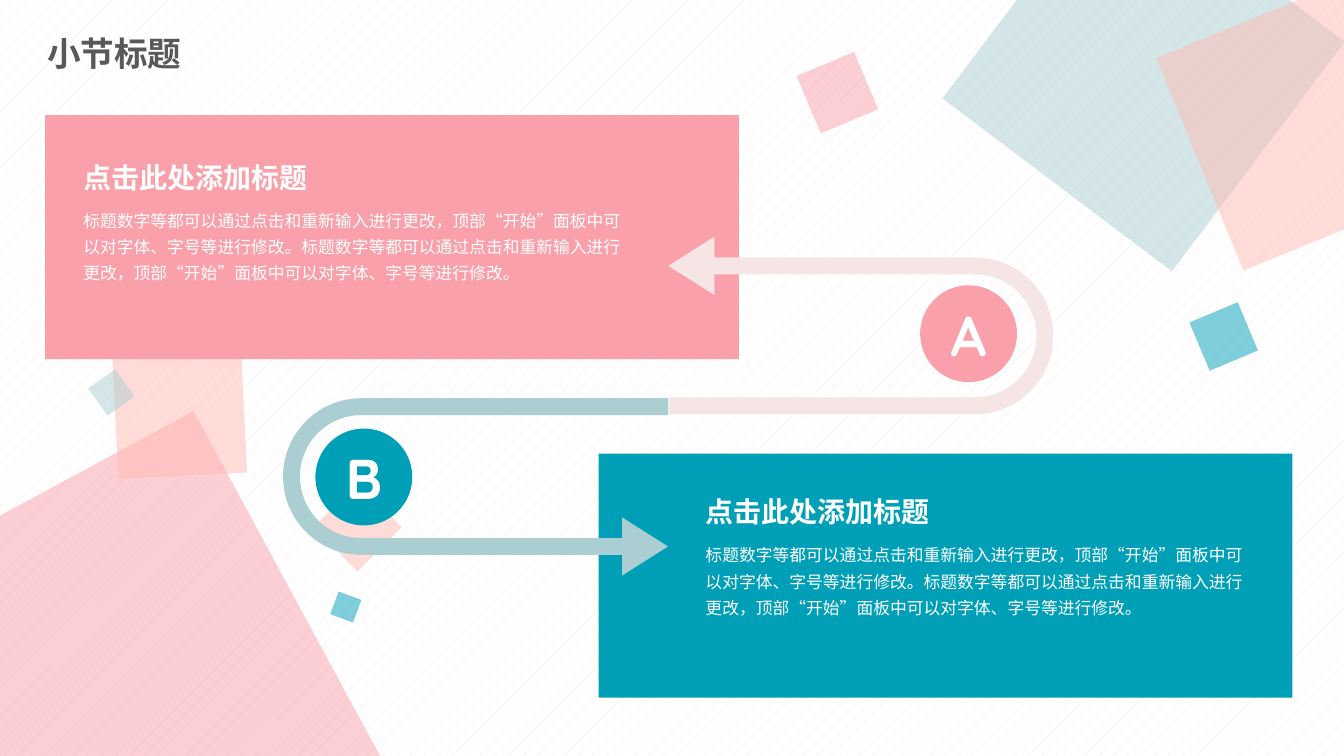
from lxml.etree import SubElement
from pptx import Presentation
from pptx.dml.color import RGBColor
from pptx.enum.dml import MSO_PATTERN
from pptx.enum.shapes import MSO_SHAPE
from pptx.enum.text import MSO_ANCHOR, MSO_AUTO_SIZE, PP_ALIGN
from pptx.oxml.ns import qn
from pptx.util import Cm, Pt

COLOURS = {
    "pink": "FAA0AA",
    "peach": "FFBBB3",
    "mist": "AACED2",
    "teal": "009FB8",
    "blush": "F5E5E4",
    "white": "FFFFFF",
    "grey": "595959",
}
CHINESE_FONT = "Noto Sans CJK SC"
ROUND_FONT = "Quicksand"
HEADING = "点击此处添加标题"
SENTENCE = "标题数字等都可以通过点击和重新输入进行更改，顶部“开始”面板中可以对字体、字号等进行修改。"

SQUARES = [
    (-2.36, 12.19, 10.31, 331.6, "pink"),
    (2.9, 8.74, 3.25, 357.2, "peach"),
    (8.23, 12.5, 1.57, 315, "peach"),
    (2.39, 9.47, 0.84, 324.4, "mist"),
    (25.2, -1.85, 7.24, 37, "mist"),
    (30.02, 0.15, 5.79, 337.7, "peach"),
    (20.32, 1.55, 1.57, 337.2, "pink"),
    (30.18, 7.82, 1.32, 337.2, "teal"),
    (8.41, 14.99, 0.61, 290.5, "teal"),
]

PANELS = [
    {"letter": "B", "colour": "teal", "card": (15.09, 11.43), "arrow": (9.75, 7.42),
     "turn": 270, "arrow_colour": "mist", "badge": (7.95, 10.8), "text": (17.53, 12.09)},
    {"letter": "A", "colour": "pink", "card": (1.14, 2.9), "arrow": (19.46, 3.35),
     "turn": 90, "arrow_colour": "blush", "badge": (23.19, 7.19), "text": (1.85, 3.66)},
]


def rgb(name):
    return RGBColor.from_string(COLOURS[name])


def add_figure(page, kind, left, top, width, height, colour, turn=0):
    figure = page.shapes.add_shape(kind, Cm(left), Cm(top), Cm(width), Cm(height))
    figure.shadow.inherit = False
    figure.fill.solid()
    figure.fill.fore_color.rgb = rgb(colour)
    figure.line.fill.background()
    figure.rotation = turn
    return figure


def add_span(para, text, size, font, colour, bold):
    span = para.add_run()
    span.text = text
    span.font.size = Pt(size)
    span.font.name = font
    span.font.bold = bold
    span.font.color.rgb = rgb(colour)
    east_asian = SubElement(span.font._element, qn("a:ea"))
    east_asian.set("typeface", CHINESE_FONT)


def add_text(page, left, top, width, height, text, size, font=CHINESE_FONT,
             colour="white", bold=False, spacing=1.3):
    box = page.shapes.add_textbox(Cm(left), Cm(top), Cm(width), Cm(height))
    frame = box.text_frame
    frame.word_wrap = True
    para = frame.paragraphs[0]
    para.line_spacing = spacing
    add_span(para, text, size, font, colour, bold)
    return frame


def add_title(page, text):
    frame = add_text(page, 0.94, 0.66, 15.57, 1.47, text, 24,
                     colour="grey", bold=True, spacing=0.9)
    frame.vertical_anchor = MSO_ANCHOR.MIDDLE


def add_square(page, left, top, side, turn, colour):
    square = add_figure(page, MSO_SHAPE.RECTANGLE, left, top, side, side, colour, turn)
    tint = square._element.spPr.find(qn("a:solidFill"))[0]
    SubElement(tint, qn("a:alpha")).set("val", "50000")


def add_turn_arrow(page, left, top, colour, turn):
    arrow = add_figure(page, MSO_SHAPE.U_TURN_ARROW, left, top, 4.47, 9.7, colour, turn)
    for index, value in enumerate((0.095, 0.164, 0.259, 0.441, 1)):
        arrow.adjustments[index] = value
    arrow._element.spPr.find(qn("a:xfrm")).set("flipH", "1")


def add_badge(page, left, top, colour, letter):
    badge = add_figure(page, MSO_SHAPE.OVAL, left, top, 2.44, 2.44, colour)
    frame = badge.text_frame
    frame.vertical_anchor = MSO_ANCHOR.MIDDLE
    para = frame.paragraphs[0]
    para.alignment = PP_ALIGN.CENTER
    add_span(para, letter, 40, ROUND_FONT, "white", True)


def add_panel(page, panel):
    add_figure(page, MSO_SHAPE.RECTANGLE, *panel["card"], 17.48, 6.15, panel["colour"])
    add_turn_arrow(page, *panel["arrow"], panel["arrow_colour"], panel["turn"])
    add_badge(page, *panel["badge"], panel["colour"], panel["letter"])
    left, top = panel["text"]
    heading = add_text(page, left, top, 8, 1.37, HEADING, 20, ROUND_FONT, bold=True)
    body = add_text(page, left, top + 1.37, 14.25, 2.26, SENTENCE * 2, 12)
    for frame in (heading, body):
        frame.auto_size = MSO_AUTO_SIZE.SHAPE_TO_FIT_TEXT


def paint_background(page):
    fill = page.background.fill
    fill.patterned()
    fill.pattern = MSO_PATTERN.PERCENT_5
    fill.fore_color.rgb = rgb("blush")
    fill.back_color.rgb = rgb("white")


def main():
    deck = Presentation()
    deck.slide_width = Cm(33.87)
    deck.slide_height = Cm(19.05)
    page = deck.slides.add_slide(deck.slide_layouts[6])
    paint_background(page)
    for square in SQUARES:
        add_square(page, *square)
    add_title(page, "小节标题")
    for panel in PANELS:
        add_panel(page, panel)
    deck.save("out.pptx")


if __name__ == "__main__":
    main()
